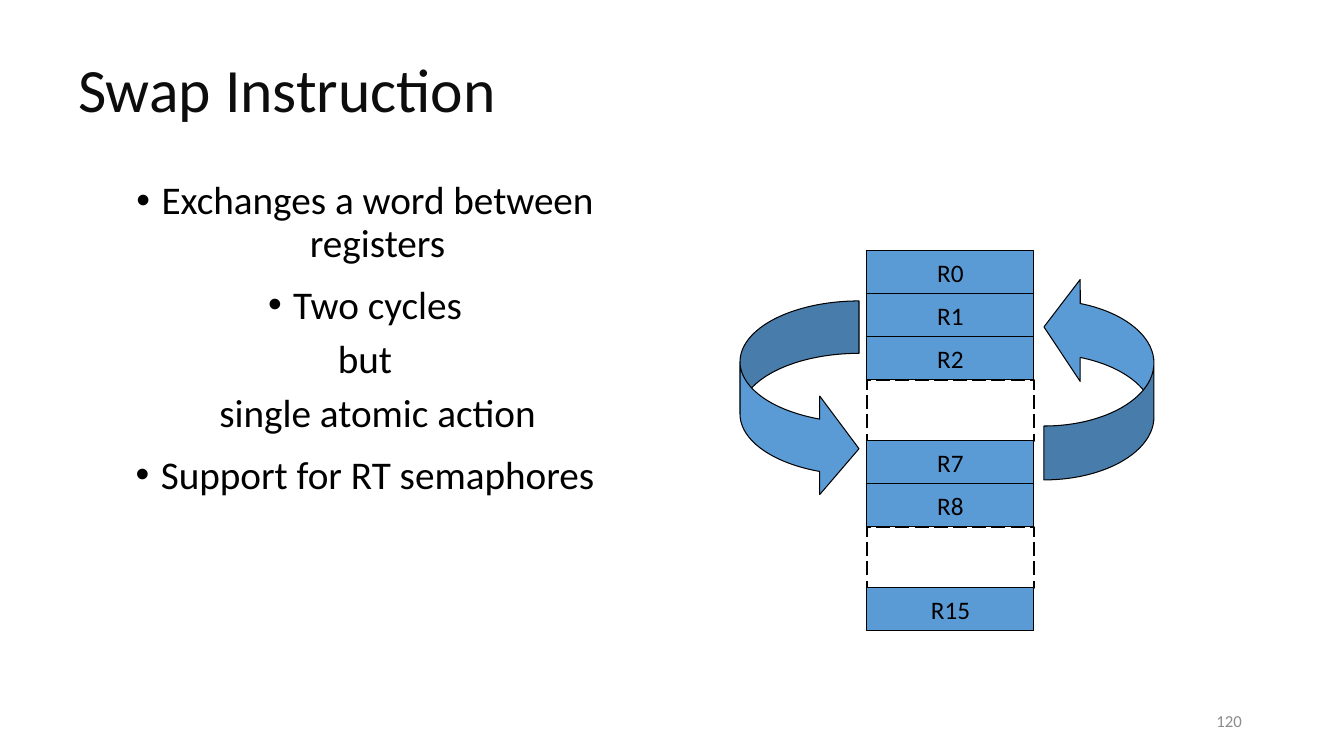
from lxml.etree import SubElement
from pptx import Presentation
from pptx.dml.color import RGBColor
from pptx.enum.dml import MSO_LINE
from pptx.enum.shapes import MSO_SHAPE as Preset
from pptx.enum.text import MSO_ANCHOR as Anchor, PP_ALIGN as Align
from pptx.oxml.ns import qn
from pptx.util import Emu, Pt

EMU_PER_INCH = 914400
PX_PER_INCH = 100.8
COLORS = {"title": "0D0D0D", "ink": "000000", "register": "5B9BD5", "number": "8C8C8C"}
REGISTER_LEFT, REGISTER_TOP, REGISTER_WIDTH = 867, 251, 167
CELL_HEIGHT, GAP_HEIGHT = 43, 61
REGISTERS = ["R0", "R1", "R2", None, "R7", "R8", None, "R15"]
POINTS = [
    ("Exchanges a word between registers", 10, True),
    ("Two cycles", 14, True),
    ("but", 8.4, False),
    ("\tsingle atomic action", 8.4, False),
    ("Support for RT semaphores", 14, True),
]


def px(length):
    """Turn pixels into EMU."""
    return Emu(round(length * EMU_PER_INCH / PX_PER_INCH))


def box(*lengths):
    """Turn a left, top, width, height box into EMU."""
    return [px(length) for length in lengths]


def apply(target, values):
    """Set each named attribute on the target."""
    for name, value in values.items():
        setattr(target, name, value)


def write(paragraph, words, size, color, **layout):
    """Fill a paragraph with one formatted run."""
    run = paragraph.add_run()
    run.text = words
    apply(run.font, {"size": Pt(size), "name": "Calibri"})
    run.font.color.rgb = RGBColor.from_string(COLORS[color])
    apply(paragraph, layout)


def add_title(slide, words):
    """Place and format the title."""
    title = slide.shapes.title
    apply(title, dict(zip(("left", "top", "width", "height"), box(68, 30, 1210, 126))))
    title.text_frame.vertical_anchor = Anchor.MIDDLE
    write(title.text_frame.paragraphs[0], words, 44, "title",
          alignment=Align.LEFT, line_spacing=0.9)


def add_points(slide):
    """Add the centred list of points."""
    frame = slide.shapes.add_textbox(*box(68, 176, 594, 500)).text_frame
    frame.word_wrap = True
    for index, (words, gap, bulleted) in enumerate(POINTS):
        paragraph = frame.add_paragraph() if index else frame.paragraphs[0]
        write(paragraph, words, 28, "ink", alignment=Align.CENTER,
              line_spacing=0.9, space_before=Pt(gap))
        props = paragraph._p.get_or_add_pPr()
        props.set("marL", str(EMU_PER_INCH // 4))
        props.set("indent", str(-EMU_PER_INCH // 4))
        if bulleted:
            SubElement(props, qn("a:buFont")).set("typeface", "Arial")
            SubElement(props, qn("a:buChar")).set("char", "•")
        else:
            SubElement(props, qn("a:buNone"))


def add_page_number(slide, number):
    """Add the page number at the lower right."""
    frame = slide.shapes.add_textbox(*box(950, 701, 302, 40)).text_frame
    apply(frame, {"word_wrap": True, "vertical_anchor": Anchor.MIDDLE})
    write(frame.paragraphs[0], number, 12, "number", alignment=Align.RIGHT)


def add_block(diagram, preset, place, filled=True):
    """Add a filled part or a dashed empty one to the diagram."""
    block = diagram.shapes.add_shape(preset, *box(*place))
    block.shadow.inherit = False
    block.line.color.rgb = RGBColor.from_string(COLORS["ink"])
    if filled:
        block.fill.solid()
        block.fill.fore_color.rgb = RGBColor.from_string(COLORS["register"])
        block.line.width = Pt(0.75)
    else:
        block.fill.background()
        apply(block.line, {"width": Pt(1.25), "dash_style": MSO_LINE.LONG_DASH})
    return block


def add_registers(diagram):
    """Stack the registers, with dashed gaps for those left out."""
    top = REGISTER_TOP
    for name in REGISTERS:
        height = CELL_HEIGHT if name else GAP_HEIGHT
        place = (REGISTER_LEFT, top, REGISTER_WIDTH, height)
        register = add_block(diagram, Preset.RECTANGLE, place, filled=bool(name))
        if name:
            frame = register.text_frame
            apply(frame, {"word_wrap": False, "vertical_anchor": Anchor.MIDDLE})
            write(frame.paragraphs[0], name, 18, "ink", alignment=Align.CENTER)
        top += height


def add_swap_arrow(diagram, preset, place, adjustments, flipped=False):
    """Add a curved arrow between the swapped registers."""
    arrow = add_block(diagram, preset, place)
    for index, value in enumerate(adjustments):
        arrow.adjustments[index] = value
    if flipped:
        arrow.element.spPr.find(qn("a:xfrm")).set("flipV", "1")


def main():
    """Build and save the slide."""
    deck = Presentation()
    apply(deck, {"slide_width": px(1344), "slide_height": px(756)})
    slide = deck.slides.add_slide(deck.slide_layouts.get_by_name("Title Only"))
    add_title(slide, "Swap Instruction")
    add_points(slide)
    add_page_number(slide, "120")
    diagram = slide.shapes.add_group_shape()
    add_registers(diagram)
    add_swap_arrow(diagram, Preset.CURVED_RIGHT_ARROW, (740, 301, 119, 197),
                   (0.44, 0.89, 0.33))
    add_swap_arrow(diagram, Preset.CURVED_LEFT_ARROW, (1044, 276, 110, 204),
                   (0.49, 0.99, 0.33), flipped=True)
    deck.save("out.pptx")


if __name__ == "__main__":
    main()
